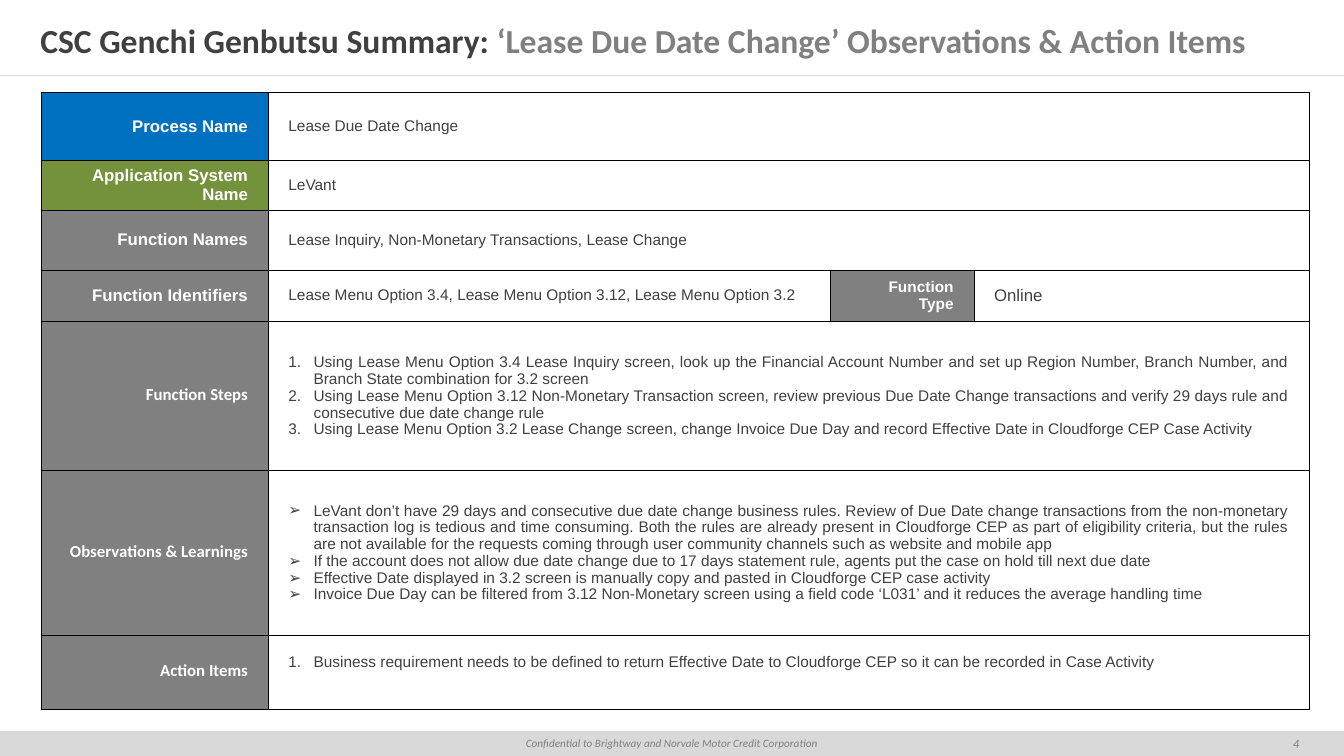
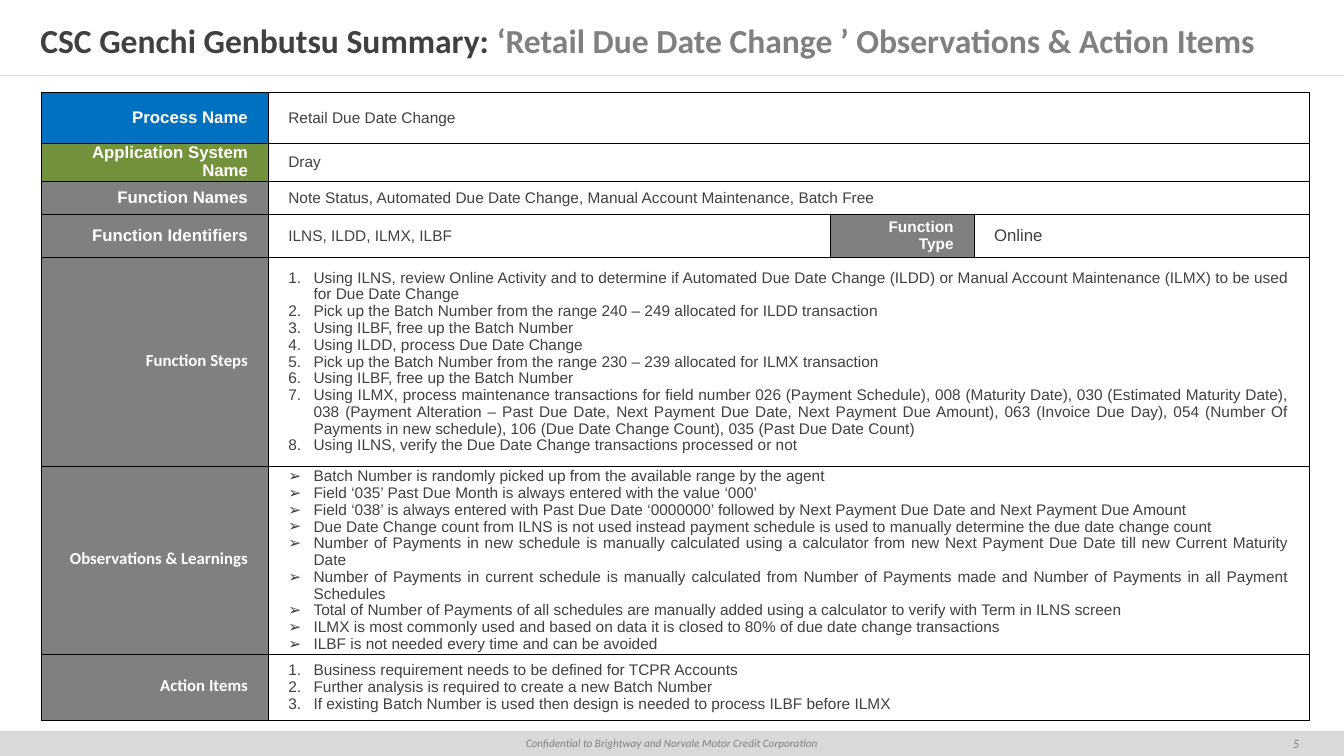
"""Build two process summary slides, each with a titled table and a footer band."""
from lxml import etree
from pptx import Presentation
from pptx.dml.color import RGBColor
from pptx.enum.shapes import MSO_CONNECTOR, MSO_SHAPE
from pptx.enum.text import MSO_ANCHOR, PP_ALIGN
from pptx.oxml.ns import qn
from pptx.util import Inches, Pt

WHITE = RGBColor(0xFF, 0xFF, 0xFF)
BLACK = RGBColor(0x00, 0x00, 0x00)
DARK = RGBColor(0x40, 0x40, 0x40)
GREY = RGBColor(0x80, 0x80, 0x80)
LIGHT = RGBColor(0xD9, 0xD9, 0xD9)
BLUE = RGBColor(0x00, 0x70, 0xC0)
GREEN = RGBColor(0x74, 0x91, 0x3B)

LEFT, CENTER, RIGHT = PP_ALIGN.LEFT, PP_ALIGN.CENTER, PP_ALIGN.RIGHT
JUSTIFY = PP_ALIGN.JUSTIFY
MIDDLE = MSO_ANCHOR.MIDDLE
RECTANGLE = MSO_SHAPE.RECTANGLE
STRAIGHT = MSO_CONNECTOR.STRAIGHT

WIDTH, HEIGHT = Inches(13.33), Inches(7.5)
RULE_TOP = int(HEIGHT * 0.1)
BAND_HEIGHT = HEIGHT // 30
BAND_TOP = HEIGHT - BAND_HEIGHT
NUMBER_LEFT, NUMBER_WIDTH = Inches(12.5), Inches(0.71)
TABLE_LEFT, TABLE_TOP = Inches(0.41), Inches(0.92)
COLUMN_WIDTHS = [2.25, 5.58, 1.42, 3.33]
CELL_MARGIN = Inches(0.2)
INDENT = Inches(0.25)
LABEL_PITCH, LIST_PITCH = Pt(13), Pt(12)

TITLE_START = "CSC Genchi Genbutsu Summary: "
FOOTER = "Confidential to Brightway and Norvale Motor Credit Corporation"
ROW_LABELS = [
    ("Process Name", BLUE, "Arial"),
    ("Application System Name", GREEN, "Arial"),
    ("Function Names", GREY, "Arial"),
    ("Function Identifiers", GREY, "Arial"),
    ("Function Steps", GREY, "Calibri"),
    ("Observations & Learnings", GREY, "Calibri"),
    ("Action Items", GREY, "Calibri"),
]
IDENTIFIERS_ROW = 3
LIST_BULLETS = {4: "number", 5: "arrow", 6: "number"}

SUMMARIES = [
    {
        "number": "4",
        "title": "‘Lease Due Date Change’ Observations & Action Items",
        "heights": [0.67, 0.5, 0.59, 0.51, 1.48, 1.63, 0.74],
        "last_margin": CELL_MARGIN,
        "rows": [
            ["Lease Due Date Change"],
            ["LeVant"],
            ["Lease Inquiry, Non-Monetary Transactions, Lease Change"],
            ["Lease Menu Option 3.4, Lease Menu Option 3.12, Lease Menu Option 3.2"],
            [
                "Using Lease Menu Option 3.4 Lease Inquiry screen, look up the Financial Account Number "
                "and set up Region Number, Branch Number, and Branch State combination for 3.2 screen",
                "Using Lease Menu Option 3.12 Non-Monetary Transaction screen, review previous Due Date "
                "Change transactions and verify 29 days rule and consecutive due date change rule",
                "Using Lease Menu Option 3.2 Lease Change screen, change Invoice Due Day and record "
                "Effective Date in Cloudforge CEP Case Activity",
            ],
            [
                "LeVant don’t have 29 days and consecutive due date change business rules. Review of Due "
                "Date change transactions from the non-monetary transaction log is tedious and time "
                "consuming. Both the rules are already present in Cloudforge CEP as part of eligibility "
                "criteria, but the rules are not available for the requests coming through user community "
                "channels such as website and mobile app",
                "If the account does not allow due date change due to 17 days statement rule, agents put "
                "the case on hold till next due date",
                "Effective Date displayed in 3.2 screen is manually copy and pasted in Cloudforge CEP "
                "case activity",
                "Invoice Due Day can be filtered from 3.12 Non-Monetary screen using a field code ‘L031’ "
                "and it reduces the average handling time",
            ],
            [
                "Business requirement needs to be defined to return Effective Date to Cloudforge CEP so "
                "it can be recorded in Case Activity",
            ],
        ],
    },
    {
        "number": "5",
        "title": "‘Retail Due Date Change ’ Observations & Action Items",
        "heights": [0.5, 0.38, 0.33, 0.42, 2.08, 1.86, 0.66],
        "last_margin": 0,
        "rows": [
            ["Retail Due Date Change"],
            ["Dray"],
            ["Note Status, Automated Due Date Change, Manual Account Maintenance, Batch Free"],
            ["ILNS, ILDD, ILMX, ILBF"],
            [
                "Using ILNS, review Online Activity and to determine if Automated Due Date Change (ILDD) "
                "or Manual Account Maintenance (ILMX) to be used for Due Date Change",
                "Pick up the Batch Number from the range 240 – 249 allocated for ILDD transaction",
                "Using ILBF, free up the Batch Number",
                "Using ILDD, process Due Date Change",
                "Pick up the Batch Number from the range 230 – 239 allocated for ILMX transaction",
                "Using ILBF, free up the Batch Number",
                "Using ILMX, process maintenance transactions for field number 026 (Payment Schedule), "
                "008 (Maturity Date), 030 (Estimated Maturity Date), 038 (Payment Alteration – Past Due "
                "Date, Next Payment Due Date, Next Payment Due Amount), 063 (Invoice Due Day), 054 "
                "(Number Of Payments in new schedule), 106 (Due Date Change Count), 035 (Past Due Date "
                "Count)",
                "Using ILNS, verify the Due Date Change transactions processed or not",
            ],
            [
                "Batch Number is randomly picked up from the available range by the agent",
                "Field ‘035’ Past Due Month is always entered with the value ‘000’",
                "Field ‘038’ is always entered with Past Due Date ‘0000000’ followed by Next Payment Due "
                "Date and Next Payment Due Amount",
                "Due Date Change count from ILNS is not used instead payment schedule is used to manually "
                "determine the due date change count",
                "Number of Payments in new schedule is manually calculated using a calculator from new "
                "Next Payment Due Date till new Current Maturity Date",
                "Number of Payments in current schedule is manually calculated from Number of Payments "
                "made and Number of Payments in all Payment Schedules",
                "Total of Number of Payments of all schedules are manually added using a calculator to "
                "verify with Term in ILNS screen",
                "ILMX is most commonly used and based on data it is closed to 80% of due date change "
                "transactions",
                "ILBF is not needed every time and can be avoided",
            ],
            [
                "Business requirement needs to be defined for TCPR Accounts",
                "Further analysis is required to create a new Batch Number",
                "If existing Batch Number is used then design is needed to process ILBF before ILMX",
            ],
        ],
    },
]


def write_text(text_frame, lines, size, color, alignment=LEFT, font="Arial", bold=False,
               italic=False, bullet=None, pitch=None):
    text_frame.text = "\n".join(lines)
    text_frame.word_wrap = True
    for paragraph in text_frame.paragraphs:
        paragraph.alignment = alignment
        paragraph.line_spacing = pitch
        if bullet:
            properties = paragraph._p.get_or_add_pPr()
            properties.set("marL", str(INDENT))
            properties.set("indent", str(-INDENT))
            etree.SubElement(properties, qn("a:buFont"), typeface="Arial")
            if bullet == "number":
                etree.SubElement(properties, qn("a:buAutoNum"), type="arabicPeriod")
            else:
                etree.SubElement(properties, qn("a:buChar"), char="➢")
        for run in paragraph.runs:
            run.font.name = font
            run.font.size = Pt(size)
            run.font.color.rgb = color
            run.font.bold = bold
            run.font.italic = italic


def style_cell(cell, fill):
    cell.vertical_anchor = MIDDLE
    cell.margin_left = cell.margin_right = CELL_MARGIN
    cell.margin_top = cell.margin_bottom = 0
    properties = cell._tc.get_or_add_tcPr()
    for side in ("a:lnL", "a:lnR", "a:lnT", "a:lnB"):
        border = etree.SubElement(properties, qn(side), w=str(Pt(0.5)))
        border_fill = etree.SubElement(border, qn("a:solidFill"))
        etree.SubElement(border_fill, qn("a:srgbClr"), val=str(BLACK))
    cell.fill.solid()
    cell.fill.fore_color.rgb = fill


presentation = Presentation()
presentation.slide_width, presentation.slide_height = WIDTH, HEIGHT
blank_layout = presentation.slide_layouts[6]

for summary in SUMMARIES:
    slide = presentation.slides.add_slide(blank_layout)

    band = slide.shapes.add_shape(RECTANGLE, 0, BAND_TOP, WIDTH, BAND_HEIGHT)
    band.shadow.inherit = False
    band.fill.solid()
    band.fill.fore_color.rgb = LIGHT
    band.line.fill.background()
    number = slide.shapes.add_textbox(NUMBER_LEFT, BAND_TOP, NUMBER_WIDTH, BAND_HEIGHT)
    for shape, text, size in ((band, FOOTER, 8), (number, summary["number"], 9)):
        frame = shape.text_frame
        frame.margin_top = frame.margin_bottom = 0
        frame.vertical_anchor = MIDDLE
        write_text(frame, [text], size, GREY, CENTER, "Calibri", italic=True)

    rule = slide.shapes.add_connector(STRAIGHT, 0, RULE_TOP, WIDTH, RULE_TOP)
    rule.line.color.rgb = LIGHT
    rule.line.width = Pt(0.25)
    etree.SubElement(rule._element.spPr, qn("a:effectLst"))

    title = slide.shapes.add_textbox(0, Inches(0.16), WIDTH, Inches(0.48))
    frame = title.text_frame
    frame.word_wrap = True
    frame.margin_left = frame.margin_right = Inches(0.4)
    frame.margin_top = frame.margin_bottom = 0
    frame.vertical_anchor = MIDDLE
    paragraph = frame.paragraphs[0]
    for text, color in ((TITLE_START, DARK), (summary["title"], GREY)):
        run = paragraph.add_run()
        run.text = text
        run.font.name = "Calibri"
        run.font.size = Pt(24)
        run.font.bold = True
        run.font.color.rgb = color

    table_width, table_height = Inches(sum(COLUMN_WIDTHS)), Inches(sum(summary["heights"]))
    table = slide.shapes.add_table(len(ROW_LABELS), len(COLUMN_WIDTHS), TABLE_LEFT, TABLE_TOP,
                                   table_width, table_height).table
    table.first_row = table.horz_banding = False
    for column, width in zip(table.columns, COLUMN_WIDTHS):
        column.width = Inches(width)
    for row, height in zip(table.rows, summary["heights"]):
        row.height = Inches(height)

    for index, (label, fill, font) in enumerate(ROW_LABELS):
        label_cell, value_cell, type_label, type_value = table.rows[index].cells
        style_cell(label_cell, fill)
        for cell in (value_cell, type_label, type_value):
            style_cell(cell, WHITE)
        write_text(label_cell.text_frame, [label], 12, WHITE, RIGHT, font, bold=True,
                   pitch=LABEL_PITCH)
        bullet = LIST_BULLETS.get(index)
        write_text(value_cell.text_frame, summary["rows"][index], 11, DARK,
                   JUSTIFY if bullet else LEFT, bullet=bullet, pitch=LIST_PITCH)
        if index == IDENTIFIERS_ROW:
            type_label.fill.fore_color.rgb = GREY
            write_text(type_label.text_frame, ["Function Type"], 11, WHITE, RIGHT, bold=True)
            write_text(type_value.text_frame, ["Online"], 12, DARK)
        else:
            value_cell.merge(type_value)
    value_cell.margin_bottom = summary["last_margin"]

presentation.save("out.pptx")
